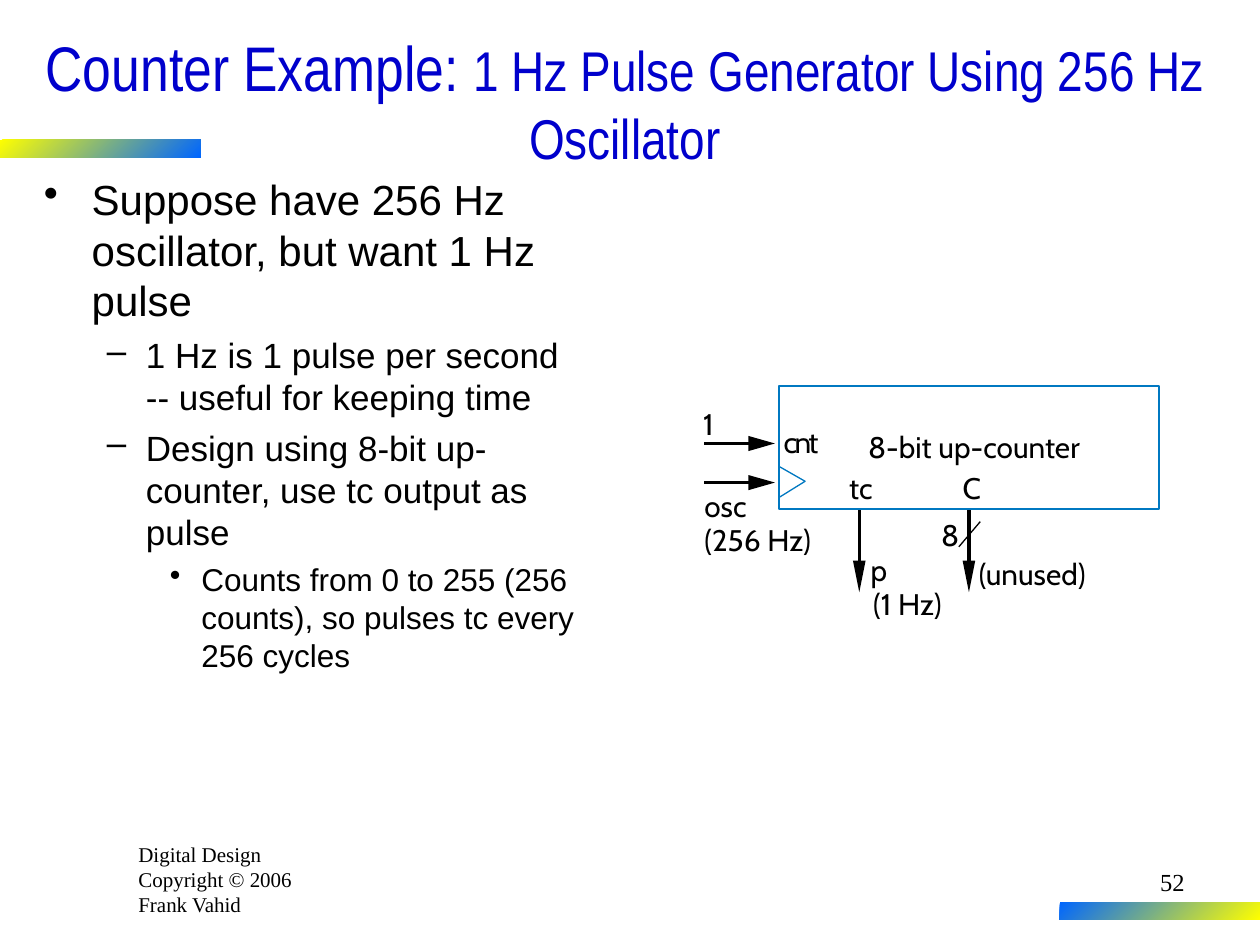
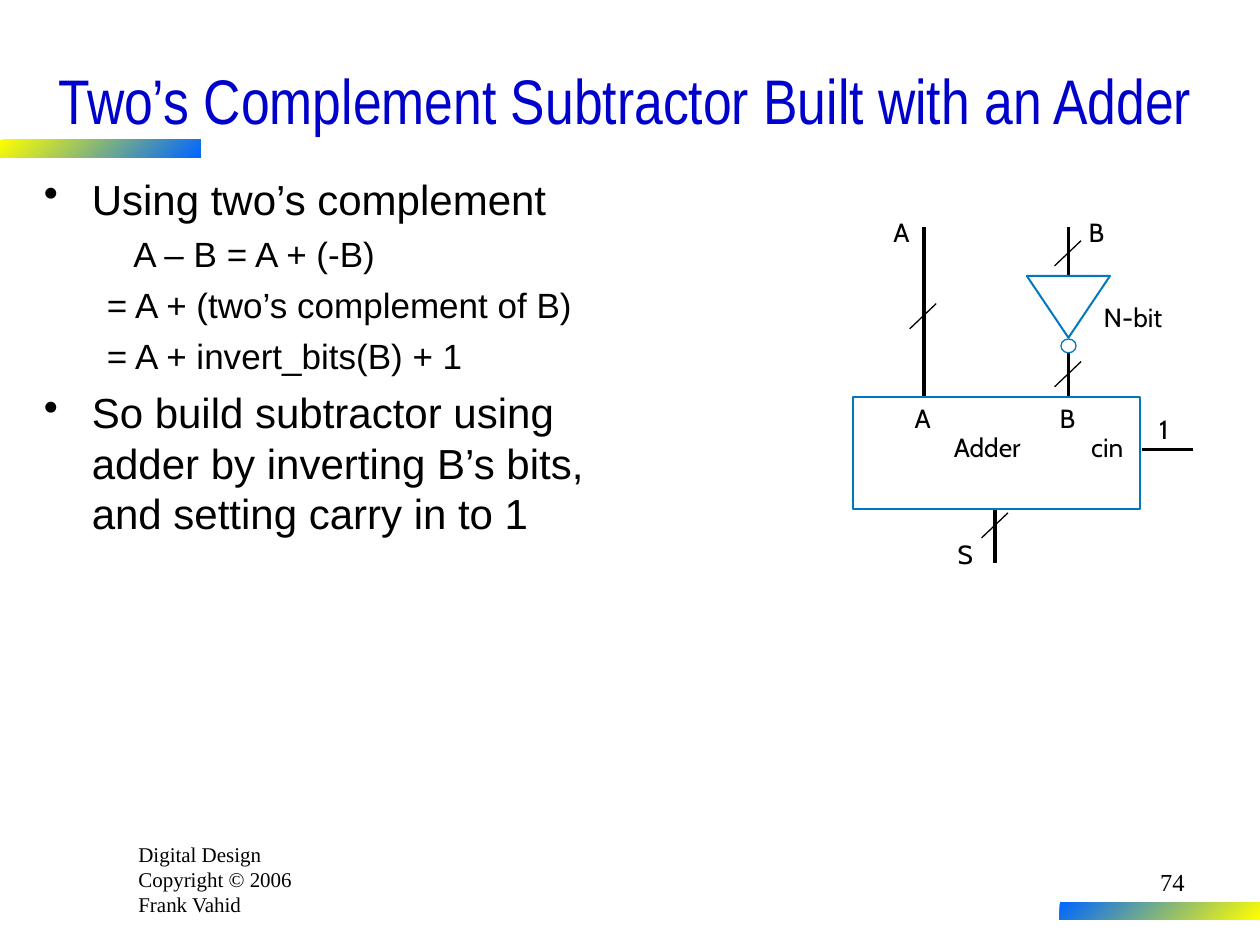
"""Build two digital design slides: a 1 Hz pulse generator and a two's complement subtractor."""
import pptx
import pptx.util
import pptx.dml.color
import pptx.enum.shapes
import pptx.enum.text
import lxml.etree
from pptx.util import Inches

BLACK = pptx.dml.color.RGBColor(0x00, 0x00, 0x00)
WHITE = pptx.dml.color.RGBColor(0xFF, 0xFF, 0xFF)
TITLE_BLUE = pptx.dml.color.RGBColor(0x00, 0x00, 0xCC)
BAND_BLUE = pptx.dml.color.RGBColor(0x00, 0x66, 0xFF)
BAND_YELLOW = pptx.dml.color.RGBColor(0xFF, 0xFF, 0x00)
OUTLINE_BLUE = pptx.dml.color.RGBColor(0x00, 0x78, 0xC1)
SHAPE = pptx.enum.shapes.MSO_SHAPE
ALIGN = pptx.enum.text.PP_ALIGN

LEVELS = {
    0: dict(left=0.38, indent=-0.38, before=6, size=24, bullet="•"),
    1: dict(left=0.81, indent=-0.31, before=5, size=20, bullet="–"),
    2: dict(left=1.25, indent=-0.25, before=4.5, size=18, bullet="•"),
    "first equation": dict(left=0.81, indent=-0.1, before=5, size=20, bullet=None),
    "equation": dict(left=0.81, indent=-0.31, before=5, size=20, bullet=None),
}


def frame(s, x, y, w, h, padded=True):
    tf = s.shapes.add_textbox(Inches(x), Inches(y), Inches(w), Inches(h)).text_frame
    tf.word_wrap = padded
    if not padded:
        tf.auto_size = pptx.enum.text.MSO_AUTO_SIZE.SHAPE_TO_FIT_TEXT
        tf.margin_left = tf.margin_right = tf.margin_top = tf.margin_bottom = 0
    return tf


def write(p, text, size=12, font="Times New Roman", color=BLACK, align=ALIGN.LEFT, spacing=0):
    p.alignment = align
    r = p.add_run()
    r.text = text
    r.font.size = pptx.util.Pt(size)
    r.font.name = font
    r.font.color.rgb = color
    if spacing:
        r.font._element.set("spc", str(spacing))


prs = pptx.Presentation()
prs.slide_width, prs.slide_height = Inches(10), Inches(7.5)

pages = [
    dict(
        number="52",
        title=[("Counter Example: ", 36), ("1 Hz Pulse Generator Using 256 Hz Oscillator", 32)],
        body_width=4.43,
        body=[
            (0, "Suppose have 256 Hz oscillator, but want 1 Hz pulse"),
            (1, "1 Hz is 1 pulse per second -- useful for keeping time"),
            (1, "Design using 8-bit up-counter, use tc output as pulse"),
            (2, "Counts from 0 to 255 (256 counts), so pulses tc every 256 cycles"),
        ],
        lines=[
            (7.69, 4.04, 7.69, 4.55, 2.25), (6.82, 4.04, 6.82, 4.55, 1.5),
            (5.59, 3.52, 6.02, 3.52, 1.5), (5.59, 3.83, 6.02, 3.83, 1.5),
            (7.78, 4.14, 7.61, 4.34, 0.75),
        ],
        heads=[
            [(x, 4.7), (x + 0.05, 4.45), (x - 0.05, 4.45)] for x in (7.69, 6.82)
        ] + [
            [(6.15, y), (5.94, y - 0.06), (5.94, y + 0.06)] for y in (3.52, 3.83)
        ],
        block=(6.18, 3.06, 3.02, 0.98),
        outline=([(6.18, 3.95), (6.39, 3.82), (6.18, 3.7)], False, 0.75),
        label_size=17,
        labels=[
            ("cnt", 6.22, 3.36, 0.29), ("tc", 6.74, 3.73, 0.2), ("C", 7.64, 3.73, 0.15),
            ("(unused)", 7.77, 4.41, 0.97), ("8-bit up-counter", 6.89, 3.4, 1.8),
            ("1", 5.58, 3.22, 0.14), ("osc", 5.59, 3.87, 0.37), ("(256 Hz)", 5.59, 4.14, 0.9),
            ("8", 7.47, 4.1, 0.14), ("p", 6.91, 4.38, 0.15), ("(1 Hz)", 6.93, 4.65, 0.63),
        ],
    ),
    dict(
        number="74",
        title=[("Two’s Complement Subtractor Built with an Adder", 36)],
        body_width=4.78,
        body=[
            (0, "Using two’s complement"),
            ("first equation", "A – B = A + (-B)"),
            ("equation", "= A + (two’s complement of B)"),
            ("equation", "= A + invert_bits(B) + 1"),
            (0, "So build subtractor using adder by inverting B’s bits, and setting carry in to 1"),
        ],
        lines=[
            (8.48, 2.72, 8.48, 3.15, 2.25), (8.48, 1.8, 8.48, 2.19, 2.25),
            (7.33, 1.8, 7.33, 3.14, 2.25), (7.9, 4.05, 7.9, 4.47, 2.25),
            (9.47, 3.57, 9.06, 3.57, 1.5),
        ] + [
            (x + 0.21, y, x, y + 0.2, 0.75)
            for x, y in ((8.37, 1.91), (8.37, 2.87), (7.22, 2.41), (7.79, 4.07))
        ],
        heads=[],
        block=(6.77, 3.15, 2.28, 0.89),
        outline=([(8.15, 2.19), (8.48, 2.68), (8.81, 2.19)], True, 1.13),
        bubble=(8.42, 2.69, 0.12, 0.11),
        label_size=15,
        labels=[
            ("1", 9.2, 3.28, 0.12), ("cin", 8.66, 3.42, 0.28), ("B", 8.41, 3.19, 0.14),
            ("A", 7.26, 3.19, 0.13), ("Adder", 7.57, 3.42, 0.59), ("S", 7.6, 4.27, 0.12),
            ("B", 8.64, 1.72, 0.14), ("A", 7.09, 1.72, 0.13), ("N-bit", 8.76, 2.39, 0.48),
        ],
    ),
]

for page in pages:
    s = prs.slides.add_slide(prs.slide_layouts[6])

    tf = frame(s, 1, 6.63, 1.67, 0.7)
    for i, text in enumerate(["Digital Design", "Copyright © 2006", "Frank Vahid"]):
        write(tf.add_paragraph() if i else tf.paragraphs[0], text)

    for x, y, start, end in [(0, 1.11, BAND_YELLOW, BAND_BLUE), (8.41, 7.16, BAND_BLUE, BAND_YELLOW)]:
        sp = s.shapes.add_shape(SHAPE.RECTANGLE, Inches(x), Inches(y), Inches(1.59), Inches(0.14))
        sp.shadow.inherit = False
        sp.line.fill.background()
        sp.fill.gradient()
        sp.fill.gradient_angle = 315
        for stop, color in zip(sp.fill.gradient_stops, (start, end)):
            stop.color.rgb = color

    tf = frame(s, 0.25, 0.33, 9.42, 0.92)
    tf.vertical_anchor = pptx.enum.text.MSO_ANCHOR.MIDDLE
    for text, size in page["title"]:
        write(tf.paragraphs[0], text, size=size, font="Arial Narrow", color=TITLE_BLUE, align=ALIGN.CENTER)

    tf = frame(s, 0.25, 1.33, page["body_width"], 5.33)
    for i, (level, text) in enumerate(page["body"]):
        style = LEVELS[level]
        p = tf.add_paragraph() if i else tf.paragraphs[0]
        pPr = p._p.get_or_add_pPr()
        pPr.set("marL", str(Inches(style["left"])))
        pPr.set("indent", str(Inches(style["indent"])))
        if style["bullet"]:
            bullet = lxml.etree.SubElement(pPr, pptx.oxml.ns.qn("a:buChar"))
            bullet.set("char", style["bullet"])
        if i:
            p.space_before = pptx.util.Pt(style["before"])
        write(p, text, size=style["size"], font="Arial")

    for x1, y1, x2, y2, width in page["lines"]:
        line = s.shapes.add_connector(
            pptx.enum.shapes.MSO_CONNECTOR.STRAIGHT, Inches(x1), Inches(y1), Inches(x2), Inches(y2))
        line.line.color.rgb = BLACK
        line.line.width = pptx.util.Pt(width)
        lxml.etree.SubElement(line._element.spPr, pptx.oxml.ns.qn("a:effectLst"))

    outline, closed, width = page["outline"]
    polygons = [(head, True, BLACK, None) for head in page["heads"]]
    polygons.append((outline, closed, None, width))
    for points, closed, fill, width in polygons:
        points = [(Inches(x), Inches(y)) for x, y in points]
        fb = s.shapes.build_freeform(*points[0])
        fb.add_line_segments(points[1:], close=closed)
        sp = fb.convert_to_shape()
        sp.shadow.inherit = False
        if fill is None:
            sp.fill.background()
            sp.line.color.rgb = OUTLINE_BLUE
            sp.line.width = pptx.util.Pt(width)
        else:
            sp.fill.solid()
            sp.fill.fore_color.rgb = fill
            sp.line.fill.background()

    presets = [(SHAPE.RECTANGLE, page["block"], 1.13)]
    if "bubble" in page:
        presets.append((SHAPE.OVAL, page["bubble"], 0.75))
    for kind, place, width in presets:
        sp = s.shapes.add_shape(kind, *map(Inches, place))
        sp.shadow.inherit = False
        sp.line.color.rgb = OUTLINE_BLUE
        sp.line.width = pptx.util.Pt(width)
        if kind == SHAPE.OVAL:
            sp.fill.solid()
            sp.fill.fore_color.rgb = WHITE
        else:
            sp.fill.background()

    size = page["label_size"]
    for text, x, y, w in page["labels"]:
        tf = frame(s, x, y, w, size / 60, padded=False)
        write(tf.paragraphs[0], text, size=size, font="Cabin", spacing=-150 if text == "cnt" else 0)

    tf = frame(s, 7.42, 6.83, 2.08, 0.5)
    write(tf.paragraphs[0], page["number"], size=14, align=ALIGN.RIGHT)

prs.save("out.pptx")
